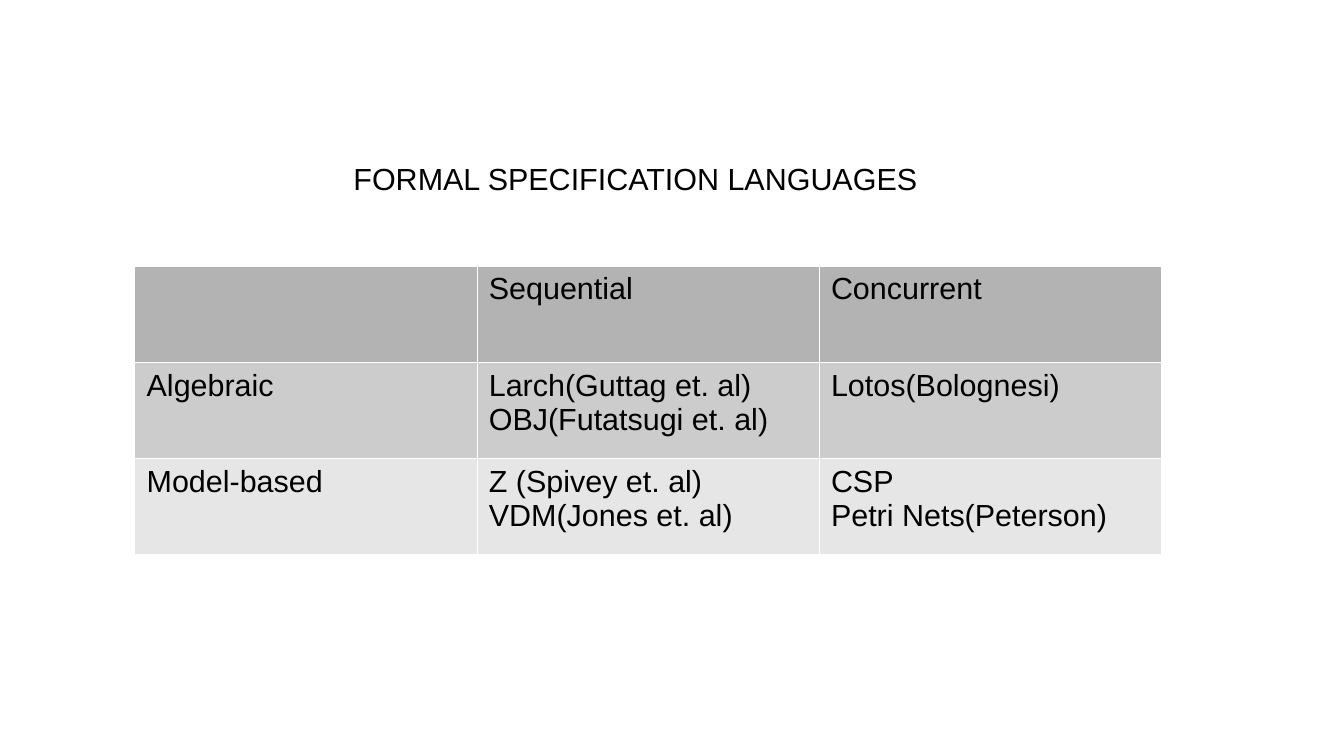
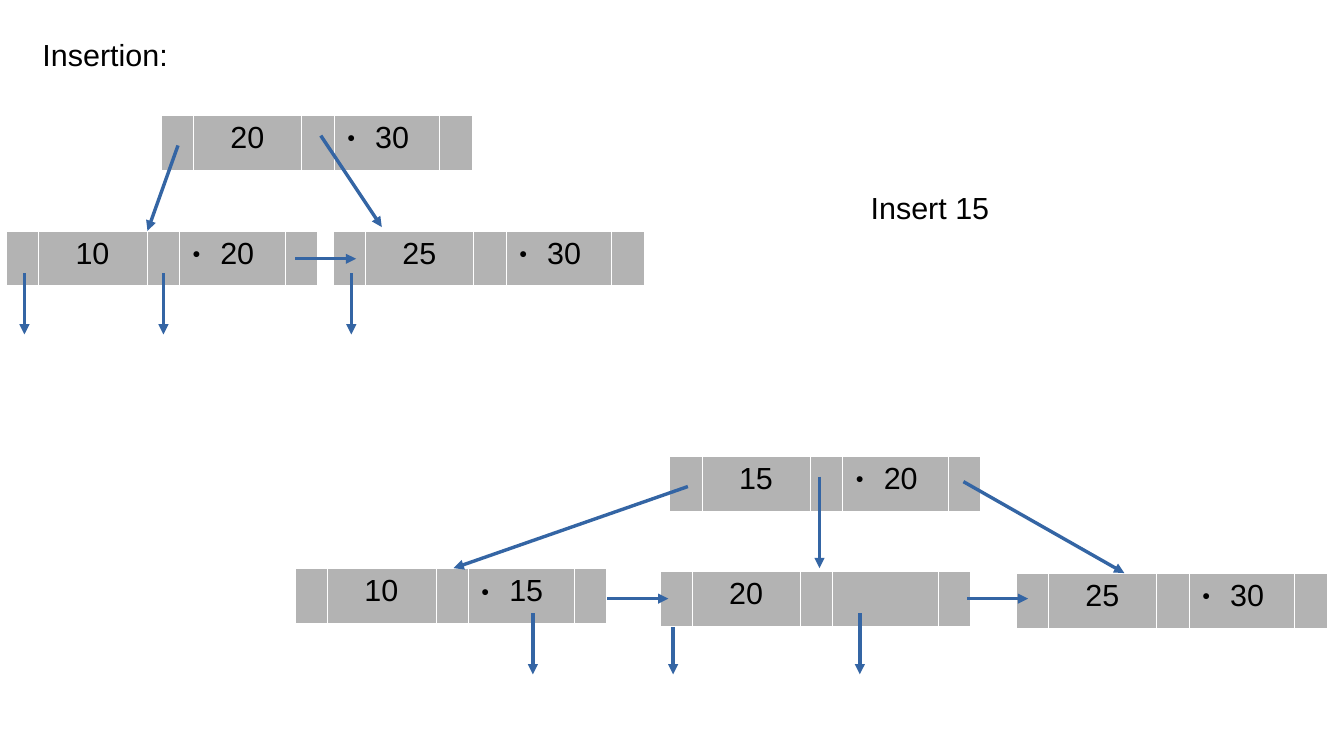
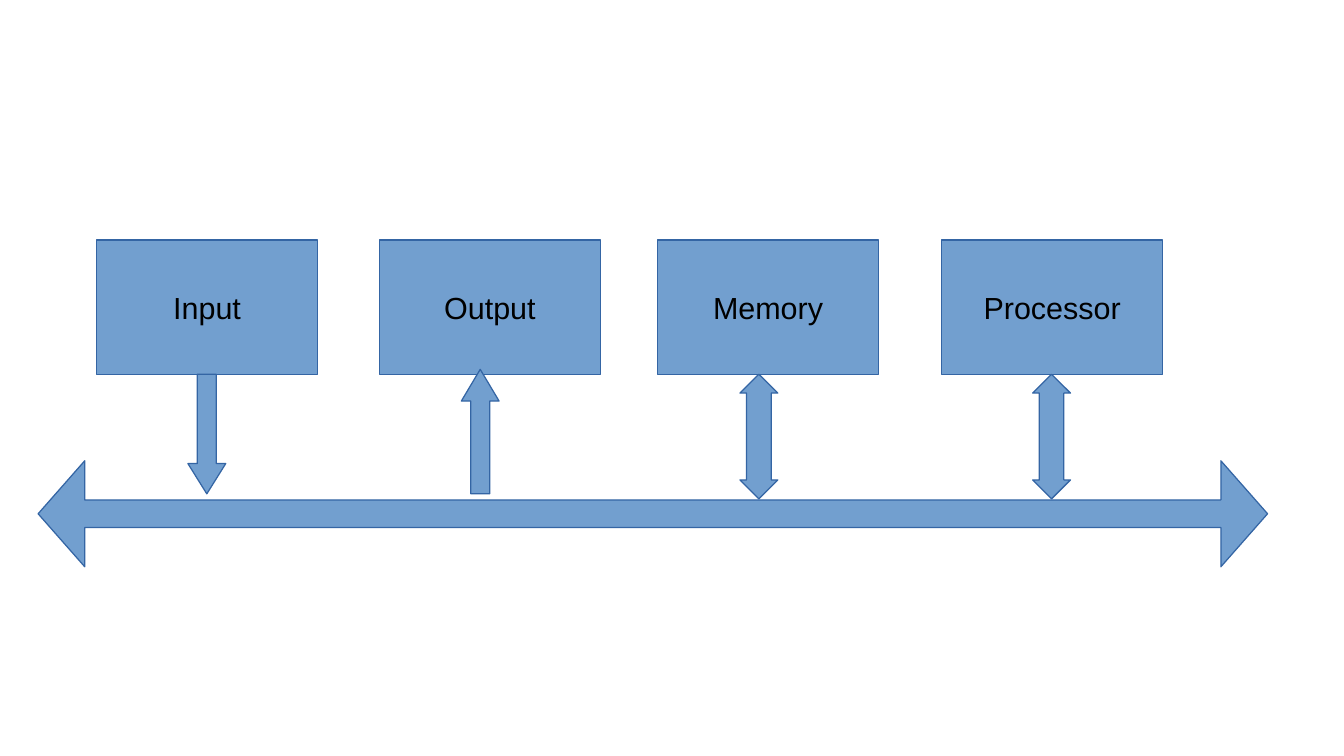
import pptx
import pptx.util
import pptx.dml.color
import pptx.enum.shapes
import pptx.enum.text
import pptx.oxml
import pptx.oxml.ns
from lxml import etree

Pt = pptx.util.Pt
qn = pptx.oxml.ns.qn
SHAPE = pptx.enum.shapes.MSO_SHAPE
CENTER = pptx.enum.text.PP_ALIGN.CENTER

COLORS = {
    "text": "000000",
    "border": "FFFFFF",
    "head": "B3B3B3",
    "mid": "CCCCCC",
    "light": "E6E6E6",
    "fill": "729FCF",
    "line": "3465A4",
}
FONT = "Arial"
SIZE = 18
HAIRLINE = 0
NODE_COLS = [19, 64, 19, 62.5, 19]
NODE_HEIGHT = 32.4
DROP = 36


def rgb(name):
    return pptx.dml.color.RGBColor.from_string(COLORS[name])


def style_text(tf):
    for p in tf.paragraphs:
        for r in p.runs:
            r.font.name = FONT
            r.font.size = Pt(SIZE)
            r.font.color.rgb = rgb("text")


def style_line(line):
    line.color.rgb = rgb("line")
    line.width = Pt(HAIRLINE)


def add_label(s, box, text):
    tf = s.shapes.add_textbox(*map(Pt, box)).text_frame
    tf.word_wrap = True
    tf.text = text
    style_text(tf)


def add_borders(cell):
    tcPr = cell._tc.get_or_add_tcPr()
    for i, side in enumerate(("lnL", "lnR", "lnT", "lnB")):
        ln = etree.Element(qn("a:" + side), w=str(Pt(0.06)))
        fill = etree.SubElement(ln, qn("a:solidFill"))
        etree.SubElement(fill, qn("a:srgbClr"), val=COLORS["border"])
        tcPr.insert(i, ln)


def add_grid(s, left, top, widths, row_height, rows, fills):
    height = row_height * len(rows)
    frame = s.shapes.add_table(len(rows), len(widths), Pt(left), Pt(top), Pt(sum(widths)), Pt(height))
    table = frame.table
    table.first_row = table.horz_banding = False
    for column, width in zip(table.columns, widths):
        column.width = Pt(width)
    for row, texts, fill in zip(table.rows, rows, fills):
        row.height = Pt(row_height)
        for cell, text in zip(row.cells, texts):
            cell.fill.solid()
            cell.fill.fore_color.rgb = rgb(fill)
            add_borders(cell)
            if text:
                cell.text_frame.text = text
                style_text(cell.text_frame)
    return table


def add_bullet(p):
    pPr = p._p.get_or_add_pPr()
    pPr.set("marL", str(Pt(17.28)))
    pPr.set("indent", str(Pt(-16.56)))
    color = etree.SubElement(pPr, qn("a:buClr"))
    etree.SubElement(color, qn("a:srgbClr"), val=COLORS["text"])
    etree.SubElement(pPr, qn("a:buSzPct"), val="45000")
    etree.SubElement(pPr, qn("a:buFont"), typeface=FONT)
    etree.SubElement(pPr, qn("a:buChar"), char="●")


def add_arrow(s, x1, y1, x2, y2):
    arrow = s.shapes.add_connector(
        pptx.enum.shapes.MSO_CONNECTOR.STRAIGHT, Pt(x1), Pt(y1), Pt(x2), Pt(y2))
    style_line(arrow.line)
    etree.SubElement(arrow.line._get_or_add_ln(), qn("a:tailEnd"), type="triangle")
    etree.SubElement(arrow._element.spPr, qn("a:effectLst"))


def add_node(s, left, top, keys):
    first, second = keys
    table = add_grid(s, left, top, NODE_COLS, NODE_HEIGHT, [["", first, "", second, ""]], ["head"])
    table.cell(0, 1).text_frame.paragraphs[0].alignment = CENTER
    if second:
        add_bullet(table.cell(0, 3).text_frame.paragraphs[0])


def add_tree(s, left, top, nodes, drops_top, edges, links):
    for x, y, keys, drops in nodes:
        add_node(s, left + x, top + y, keys)
        for drop in drops:
            add_arrow(s, left + drop, top + drops_top, left + drop, top + drops_top + DROP)
    for x1, y1, x2, y2 in edges:
        add_arrow(s, left + x1, top + y1, left + x2, top + y2)
    for x, y in links:
        add_arrow(s, left + x, top + y, left + x + DROP, top + y)


def add_block(s, kind, box, adjustments=(), text=""):
    sp = s.shapes.add_shape(kind, *map(Pt, box))
    sp.shadow.inherit = False
    sp.fill.solid()
    sp.fill.fore_color.rgb = rgb("fill")
    style_line(sp.line)
    for i, value in enumerate(adjustments):
        sp.adjustments[i] = value
    if text:
        tf = sp.text_frame
        tf.word_wrap = False
        tf.vertical_anchor = pptx.enum.text.MSO_ANCHOR.MIDDLE
        tf.text = text
        tf.paragraphs[0].alignment = CENTER
        style_text(tf)


def add_bus_diagram(s, left, top, width):
    unit_width, unit_height, arrow_width = 130.3, 79.2, 22.3
    two_way = (SHAPE.UP_DOWN_ARROW, 79.2, 73.6, (0.5, 0.65))
    units = [
        ("Input", 34.6, 99.6, (SHAPE.DOWN_ARROW, 79.2, 70.6, (0.5, 0.8))),
        ("Output", 201.6, 261, (SHAPE.UP_ARROW, 76.3, 73.5, (0.5, 0.84))),
        ("Memory", 365.8, 425.5, two_way),
        ("Processor", 533.5, 598.3, two_way),
    ]
    for name, x, center, arrow in units:
        add_block(s, SHAPE.RECTANGLE, (left + x, top, unit_width, unit_height), text=name)
    add_block(s, SHAPE.LEFT_RIGHT_ARROW, (left, top + 130.3, width, 62.6), (0.26, 0.44))
    for name, x, center, (kind, y, height, adjustments) in units:
        box = (left + center - arrow_width / 2, top + y, arrow_width, height)
        add_block(s, kind, box, adjustments)


def languages_slide(s):
    add_label(s, (201.6, 90.7, 356.4, 28), "FORMAL SPECIFICATION LANGUAGES")
    rows = [
        ["", "Sequential", "Concurrent"],
        ["Algebraic", "Larch(Guttag et. al)\nOBJ(Futatsugi et. al)", "Lotos(Bolognesi)"],
        ["Model-based", "Z (Spivey et. al)\nVDM(Jones et. al)", "CSP\nPetri Nets(Peterson)"],
    ]
    add_grid(s, 79.4, 157.2, [202] * 3, 56.7, rows, ["head", "mid", "light"])


def insertion_slide(s):
    add_label(s, (18, 18, 90, 27), "Insertion:")
    add_label(s, (506.9, 108, 90, 27), "Insert 15")
    add_tree(
        s, 3.6, 67.9,
        nodes=[
            (91.4, 0, ("20", "30"), []),
            (0, 68.3, ("10", "20"), [10.8, 92.9]),
            (193, 68.3, ("25", "30"), [203.8]),
        ],
        drops_top=93.6,
        edges=[(101.5, 18, 83.5, 68.4), (185.8, 12.2, 221.8, 66.2)],
        links=[(170.6, 84.9)],
    )
    add_tree(
        s, 174.2, 269.3,
        nodes=[
            (221.1, 0, ("15", "20"), []),
            (0, 66.2, ("10", "15"), [140.4, 223.2]),
            (215.3, 67.7, ("20", ""), [333.4]),
            (425.6, 69.1, ("25", "30"), []),
        ],
        drops_top=92.9,
        edges=[
            (231.9, 18, 93.6, 66.2),
            (309.6, 12.2, 309.6, 66.2),
            (394.6, 15.1, 489.6, 69.1),
        ],
        links=[(184.4, 84.2), (396.8, 84.2)],
    )


def bus_slide(s):
    add_bus_diagram(s, 22.5, 141.8, 725.8)


def main():
    prs = pptx.Presentation()
    prs.slide_width = Pt(793.44)
    prs.slide_height = Pt(446.4)
    for build in (languages_slide, insertion_slide, bus_slide):
        build(prs.slides.add_slide(prs.slide_layouts[6]))
    prs.save("out.pptx")


if __name__ == "__main__":
    main()
